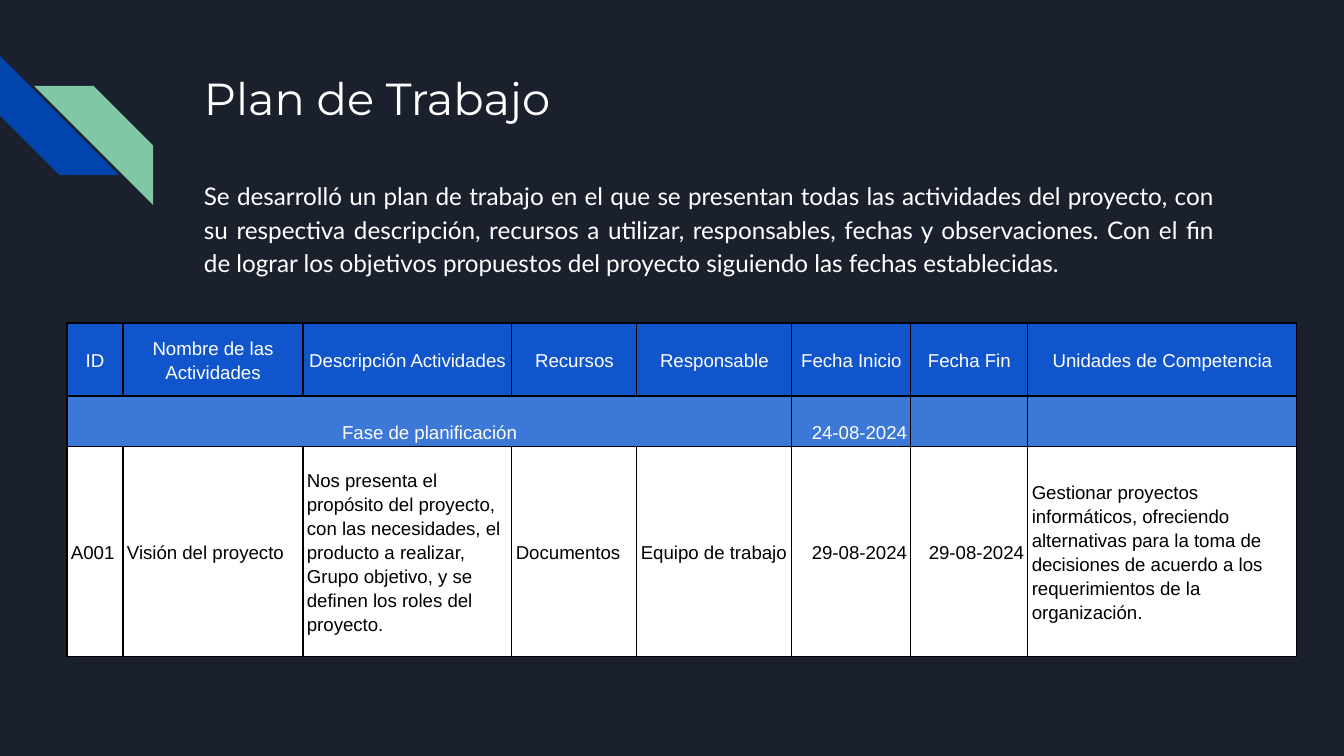
"""Builds the work plan slide: title, introduction and activity table."""
from dataclasses import dataclass

from lxml.etree import SubElement
from pptx import Presentation
from pptx.dml.color import RGBColor
from pptx.enum.shapes import MSO_SHAPE
from pptx.enum.text import MSO_ANCHOR, PP_ALIGN
from pptx.oxml.ns import qn
from pptx.util import Emu, Pt


@dataclass(frozen=True)
class Theme:
    background: str = "1B212C"
    light: str = "FFFFFF"
    dark: str = "000000"
    stripe_blue: str = "0145AC"
    stripe_green: str = "82C7A5"
    header: str = "1155CC"
    phase: str = "3C78D8"
    title_font: str = "Montserrat"
    body_font: str = "Lato"
    table_font: str = "Arial"
    title_size: int = 24
    body_size: int = 13
    table_size: int = 10
    border: float = 0.75


THEME = Theme()
SCALE = 914400 / 134.4
LEFT, CENTER, RIGHT, JUSTIFY = PP_ALIGN.LEFT, PP_ALIGN.CENTER, PP_ALIGN.RIGHT, PP_ALIGN.JUSTIFY
MIDDLE, BOTTOM = MSO_ANCHOR.MIDDLE, MSO_ANCHOR.BOTTOM

TITLE = "Plan de Trabajo"
INTRODUCTION = (
    "Se desarrolló un plan de trabajo en el que se presentan todas las actividades del proyecto, "
    "con su respectiva descripción, recursos a utilizar, responsables, fechas y observaciones. "
    "Con el fin de lograr los objetivos propuestos del proyecto siguiendo las fechas establecidas."
)
STRIPES = [(0, 56, 270, THEME.stripe_blue), (34, 86, 90, THEME.stripe_green)]
STRIPE_SIZE = 119

TABLE_LEFT, TABLE_TOP = 67, 323
COLUMN_WIDTHS = [56, 180, 209, 125, 155, 119, 117, 269]
PHASE_SPAN = 5
ROWS = [
    dict(height=73, fill=THEME.header, color=THEME.light, anchor=MIDDLE, aligns=[CENTER] * 8,
         texts=["ID", "Nombre de las Actividades", "Descripción Actividades", "Recursos",
                "Responsable", "Fecha Inicio", "Fecha Fin", "Unidades de Competencia"]),
    dict(height=51, fill=THEME.phase, color=THEME.light, anchor=BOTTOM,
         aligns=[CENTER] * PHASE_SPAN + [RIGHT] * 3,
         texts=["Fase de planificación", "", "", "", "", "24-08-2024", "", ""]),
    dict(height=210, fill=THEME.light, color=THEME.dark, anchor=MIDDLE,
         aligns=[LEFT] * 5 + [RIGHT] * 2 + [LEFT],
         texts=["A001", "Visión del proyecto",
                "Nos presenta el propósito del proyecto, con las necesidades, el producto a "
                "realizar, Grupo objetivo, y se definen los roles del proyecto.",
                "Documentos", "Equipo de trabajo", "29-08-2024", "29-08-2024",
                "Gestionar proyectos informáticos, ofreciendo alternativas para la toma de "
                "decisiones de acuerdo a los requerimientos de la organización."]),
]


def px(length):
    return Emu(round(length * SCALE))


def paint(fill, color):
    fill.solid()
    fill.fore_color.rgb = RGBColor.from_string(color)


def write(frame, text, *, font, size, color=THEME.light, align=LEFT, spacing=1.0, after=0,
          margins=(13, 13)):
    frame.word_wrap = True
    frame.margin_left = frame.margin_right = px(margins[0])
    frame.margin_top = frame.margin_bottom = px(margins[1])
    para = frame.paragraphs[0]
    para.alignment = align
    para.line_spacing = spacing
    para.space_after = Pt(after)
    span = para.add_run()
    span.text = text
    span.font.name = font
    span.font.size = Pt(size)
    span.font.color.rgb = RGBColor.from_string(color)


def add_text(page, left, top, width, height, text, **style):
    box = page.shapes.add_textbox(px(left), px(top), px(width), px(height))
    write(box.text_frame, text, **style)


def add_stripe(page, left, top, rotation, color):
    stripe = page.shapes.add_shape(MSO_SHAPE.DIAGONAL_STRIPE, px(left), px(top),
                                   px(STRIPE_SIZE), px(STRIPE_SIZE))
    stripe.adjustments[0] = 0.5
    stripe.rotation = rotation
    stripe.shadow.inherit = False
    paint(stripe.fill, color)
    stripe.line.fill.background()


def add_borders(cell):
    properties = cell._tc.get_or_add_tcPr()
    for side in ("L", "R", "T", "B"):
        line = SubElement(properties, qn(f"a:ln{side}"), w=str(Pt(THEME.border)))
        SubElement(SubElement(line, qn("a:solidFill")), qn("a:srgbClr"), val=THEME.dark)


def add_plan(page):
    height = sum(row["height"] for row in ROWS)
    table = page.shapes.add_table(len(ROWS), len(COLUMN_WIDTHS), px(TABLE_LEFT), px(TABLE_TOP),
                                  px(sum(COLUMN_WIDTHS)), px(height)).table
    table.first_row = table.horz_banding = False
    for column, width in zip(table.columns, COLUMN_WIDTHS):
        column.width = px(width)
    for table_row, row in zip(table.rows, ROWS):
        table_row.height = px(row["height"])
        for cell, text, align in zip(table_row.cells, row["texts"], row["aligns"]):
            add_borders(cell)
            paint(cell.fill, row["fill"])
            cell.vertical_anchor = row["anchor"]
            if text:
                write(cell.text_frame, text, font=THEME.table_font, size=THEME.table_size,
                      color=row["color"], align=align, spacing=1.15)
            cell.margin_left = cell.margin_right = px(4)
            cell.margin_top = cell.margin_bottom = px(3)
    table.cell(1, 0).merge(table.cell(1, PHASE_SPAN - 1))


def main():
    deck = Presentation()
    deck.slide_width, deck.slide_height = px(1344), px(756)
    page = deck.slides.add_slide(deck.slide_layouts[6])
    paint(page.background.fill, THEME.background)
    for stripe in STRIPES:
        add_stripe(page, *stripe)
    add_text(page, 191, 58, 1035, 134, TITLE, font=THEME.title_font, size=THEME.title_size)
    add_text(page, 191, 164, 1035, 130, INTRODUCTION, font=THEME.body_font,
             size=THEME.body_size, align=JUSTIFY, spacing=1.15, after=12)
    add_plan(page)
    deck.save("out.pptx")


if __name__ == "__main__":
    main()
